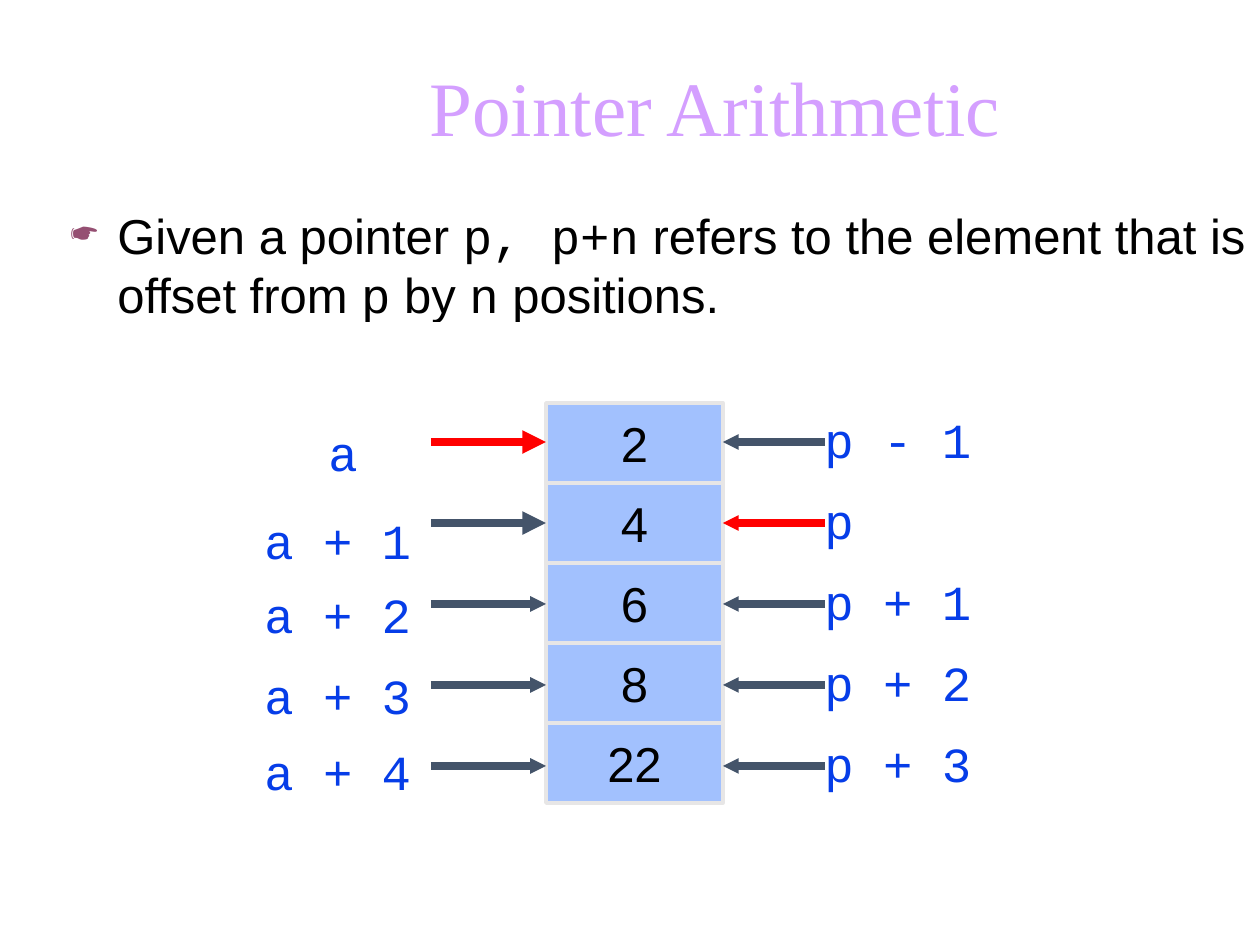
from pptx import Presentation
from pptx.dml.color import RGBColor
from pptx.enum.shapes import MSO_CONNECTOR as LINK, MSO_SHAPE as SHAPE
from pptx.enum.text import MSO_ANCHOR as ANCHOR, PP_ALIGN as ALIGN
from pptx.oxml.ns import qn
from pptx.util import Emu, Pt
from lxml.etree import SubElement

BLACK = RGBColor(0x00, 0x00, 0x00)
WHITE = RGBColor(0xFF, 0xFF, 0xFF)
LILAC = RGBColor(0xD4, 0x9F, 0xFF)
PLUM = RGBColor(0x95, 0x4F, 0x72)
SKY = RGBColor(0xA2, 0xC1, 0xFE)
PALE = RGBColor(0xE7, 0xE6, 0xE6)
BLUE = RGBColor(0x06, 0x3D, 0xE8)
SLATE = RGBColor(0x44, 0x54, 0x6A)
RED = RGBColor(0xFF, 0x00, 0x00)

SANS, MONO, SERIF = "Arial", "Courier New", "Times New Roman"


def px(n):
    return Emu(round(n * 914400 / 126))


def style(para, face, size, color):
    font = para.font
    font.name, font.size, font.color.rgb = face, Pt(size), color


def add_text(slide, box, text, face, size, color):
    shape = slide.shapes.add_textbox(*map(px, box))
    frame = shape.text_frame
    frame.word_wrap = True
    para = frame.paragraphs[0]
    para.text = text
    style(para, face, size, color)
    return frame


def add_label(slide, box, text):
    frame = add_text(slide, box, text, MONO, 28, BLUE)
    frame.paragraphs[0].space_before = Pt(7)


def add_bullet(para, char, color, scale, indent):
    props = para._p.get_or_add_pPr()
    props.set("marL", str(px(indent)))
    props.set("indent", str(-px(indent)))
    tint = SubElement(props, qn("a:buClr"))
    SubElement(tint, qn("a:srgbClr"), val=str(color))
    SubElement(props, qn("a:buSzPct"), val=str(scale * 1000))
    SubElement(props, qn("a:buChar"), char=char)


def add_rect(slide, box, line, width, fill=None):
    shape = slide.shapes.add_shape(SHAPE.RECTANGLE, *map(px, box))
    shape.shadow.inherit = False
    if fill is None:
        shape.fill.background()
    else:
        shape.fill.solid()
        shape.fill.fore_color.rgb = fill
    shape.line.color.rgb = line
    shape.line.width = Pt(width)
    return shape


def add_cell(slide, box, text):
    frame = add_rect(slide, box, PALE, 2, SKY).text_frame
    frame.word_wrap = False
    frame.vertical_anchor = ANCHOR.MIDDLE
    para = frame.paragraphs[0]
    para.text = text
    para.alignment = ALIGN.CENTER
    para.space_before = Pt(7)
    style(para, SANS, 28, BLACK)


def add_arrow(slide, start, end, y, color, head):
    arrow = slide.shapes.add_connector(LINK.STRAIGHT, px(start), px(y), px(end), px(y))
    arrow.line.color.rgb = color
    arrow.line.width = Pt(4.5)
    SubElement(arrow.line._get_or_add_ln(), qn("a:tailEnd"),
               type="triangle", w=head, len=head)
    SubElement(arrow._element.spPr, qn("a:effectLst"))


def main():
    deck = Presentation()
    deck.slide_width, deck.slide_height = px(1260), px(945)
    slide = deck.slides.add_slide(deck.slide_layouts[6])

    # Title
    title = add_text(slide, (173, 63, 1085, 95), "Pointer Arithmetic", SERIF, 44, LILAC)
    title.vertical_anchor = ANCHOR.BOTTOM
    title.paragraphs[0].alignment = ALIGN.CENTER

    # Statement, with code in the fixed-width face
    body = add_text(slide, (58, 199, 1202, 708), "", SANS, 28, BLACK)
    para = body.paragraphs[0]
    para.space_before = Pt(7)
    add_bullet(para, "☛", PLUM, 75, 47)
    for text, face in (
        ("Given a pointer ", SANS), ("p, p+n", MONO),
        (" refers to the element that is offset from ", SANS), ("p", MONO),
        (" by ", SANS), ("n", MONO), (" positions.", SANS),
    ):
        run = para.add_run()
        run.text = text
        run.font.name = face

    # Frame around the diagram
    add_rect(slide, (126, 325, 1029, 518), WHITE, 3.5)

    # Array cells, each with its names and arrows
    rows = (
        ("2", "a", (316, 416, 93), "p - 1"),
        ("4", "a + 1", (252, 504, 186), "p"),
        ("6", "a + 2", (252, 578, 186), "p + 1"),
        ("8", "a + 3", (252, 659, 186), "p + 2"),
        ("22", "a + 4", (252, 735, 186), "p + 3"),
    )
    for i, (value, left, spot, right) in enumerate(rows):
        add_cell(slide, (546, 403 + 80 * i, 177, 80), value)
        add_label(slide, (*spot, 72), left)
        add_label(slide, (812, 403 + 81 * i, 207, 72), right)
        y = 442 + 81 * i
        add_arrow(slide, 431, 546, y, RED if left == "a" else SLATE,
                  "med" if i < 2 else "sm")
        add_arrow(slide, 825, 723, y, RED if right == "p" else SLATE, "sm")

    deck.save("out.pptx")


if __name__ == "__main__":
    main()
